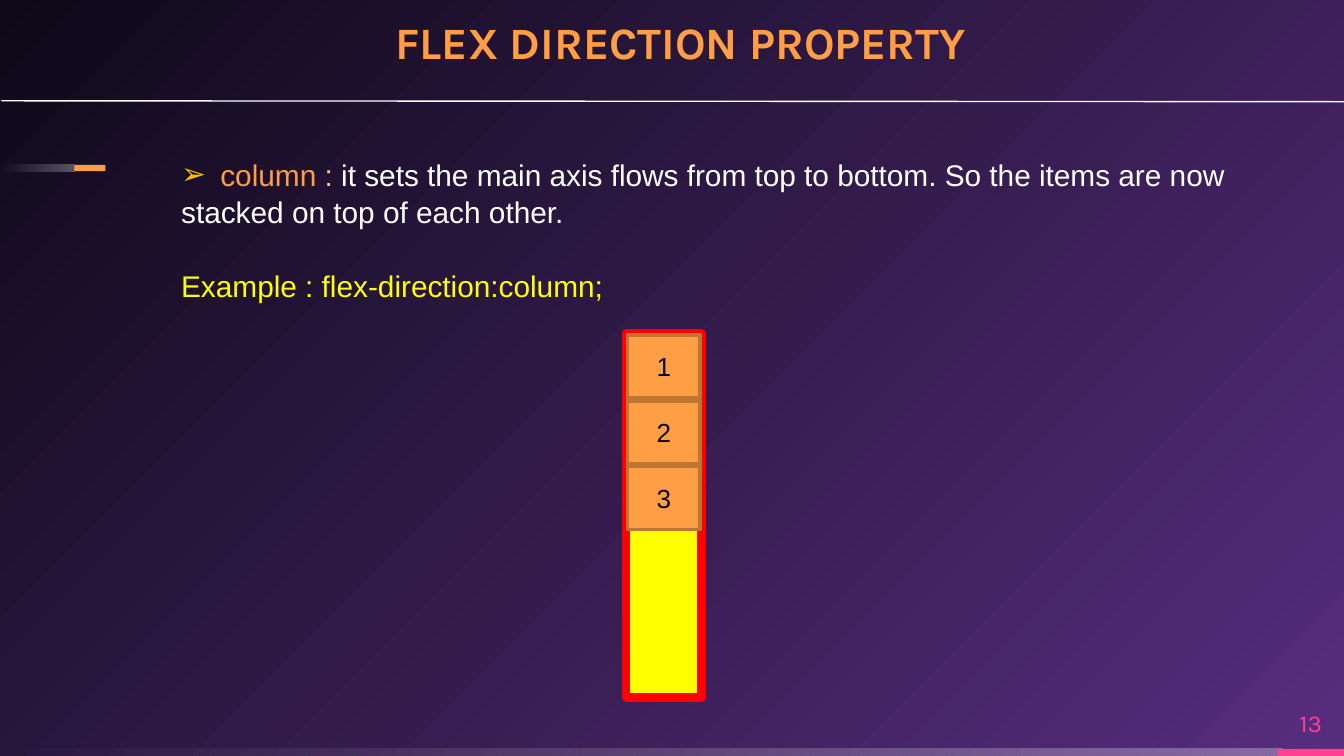
from dataclasses import dataclass

from lxml.etree import SubElement
from pptx import Presentation
from pptx.dml.color import RGBColor
from pptx.enum.shapes import MSO_CONNECTOR, MSO_SHAPE as Preset
from pptx.enum.text import MSO_ANCHOR as Anchor, MSO_AUTO_SIZE as AutoSize, PP_ALIGN as Align
from pptx.oxml import parse_xml
from pptx.oxml.ns import nsdecls, qn
from pptx.util import Pt

ORANGE, WHITE, YELLOW, PINK = "FF9E44", "FFFFFF", "FFFF00", "FF4093"
NIGHT, PURPLE, RED, BROWN = "0E0918", "572D7E", "FF0000", "BD7532"
FADE_LEFT = '<a:lin ang="10800000" scaled="0"/>'
FROM_CORNER = '<a:path path="circle"><a:fillToRect l="100000" t="100000"/></a:path>'


@dataclass
class Box:
    left: float
    top: float
    width: float
    height: float

    def lengths(self) -> tuple:
        return Pt(self.left), Pt(self.top), Pt(self.width), Pt(self.height)


@dataclass
class Stop:
    position: int
    color: str
    opacity: int = 100


def rgb(color: str) -> RGBColor:
    return RGBColor.from_string(color)


def set_gradient(owner, fill, stops: list[Stop], direction: str) -> None:
    fill.gradient()
    old = owner.find(".//" + qn("a:gradFill"))
    stop_xml = "".join(
        f'<a:gs pos="{stop.position * 1000}"><a:srgbClr val="{stop.color}">'
        f'<a:alpha val="{stop.opacity * 1000}"/></a:srgbClr></a:gs>'
        for stop in stops
    )
    old.getparent().replace(old, parse_xml(
        f'<a:gradFill {nsdecls("a")} rotWithShape="1"><a:gsLst>{stop_xml}</a:gsLst>'
        f"{direction}</a:gradFill>"))


def set_font(paragraph, name: str, size: float, color: str, bold: bool = False) -> None:
    font = paragraph.font
    font.name, font.size, font.bold = name, Pt(size), bold
    font.color.rgb = rgb(color)


def set_frame(frame, anchor: Anchor, inset: float = 0) -> None:
    frame.word_wrap, frame.auto_size = True, AutoSize.NONE
    frame.vertical_anchor = anchor
    frame.margin_left = frame.margin_top = Pt(inset)
    frame.margin_right = frame.margin_bottom = Pt(inset)


def add_box(slide, box: Box, fill: str, preset=Preset.RECTANGLE, line: str = "", weight: float = 0):
    shape = slide.shapes.add_shape(preset, *box.lengths())
    shape.shadow.inherit = False
    shape.fill.solid()
    shape.fill.fore_color.rgb = rgb(fill)
    if line:
        shape.line.color.rgb = rgb(line)
        shape.line.width = Pt(weight)
    else:
        shape.line.fill.background()
    return shape


def add_fading_bar(slide, box: Box) -> None:
    bar = add_box(slide, box, WHITE)
    set_gradient(bar.element, bar.fill, [Stop(0, WHITE, 30), Stop(100, WHITE, 0)], FADE_LEFT)


def add_bullet(paragraph, symbol: str, color: str, indent: float) -> None:
    properties = paragraph._p.get_or_add_pPr()
    properties.set("marL", str(Pt(indent)))
    properties.set("indent", str(-Pt(indent)))
    bullet_color = SubElement(properties, qn("a:buClr"))
    SubElement(bullet_color, qn("a:srgbClr"), val=color)
    SubElement(properties, qn("a:buFont"), typeface="Arial")
    SubElement(properties, qn("a:buChar"), char=symbol)


def add_flex_item(slide, box: Box, label: str) -> None:
    item = add_box(slide, box, ORANGE, Preset.FLOWCHART_PROCESS, BROWN, 2)
    set_frame(item.text_frame, Anchor.MIDDLE)
    paragraph = item.text_frame.paragraphs[0]
    paragraph.text = label
    paragraph.alignment = Align.CENTER
    set_font(paragraph, "Arial", 14, NIGHT)


def main() -> None:
    presentation = Presentation()
    presentation.slide_width, presentation.slide_height = Pt(720), Pt(405)
    slide = presentation.slides.add_slide(presentation.slide_layouts[5])
    set_gradient(slide.element, slide.background.fill,
                 [Stop(0, PURPLE), Stop(100, NIGHT)], FROM_CORNER)

    # Decorative bars at the bottom and on the left
    add_fading_bar(slide, Box(0, 401.2, 687, 3.8))
    add_box(slide, Box(684.5, 401.2, 35.5, 3.8), PINK)
    add_fading_bar(slide, Box(0, 88.3, 40, 3.4))
    add_box(slide, Box(39.8, 88.3, 16.7, 3.4), ORANGE)

    # Title and the rule under it
    title = slide.shapes.title
    title.left, title.top, title.width, title.height = Box(211.7, 5.8, 364.3, 31).lengths()
    set_frame(title.text_frame, Anchor.BOTTOM)
    heading = title.text_frame.paragraphs[0]
    heading.text = "FLEX DIRECTION PROPERTY"
    heading.alignment, heading.line_spacing = Align.LEFT, 0.9
    set_font(heading, "Karla", 24, ORANGE, bold=True)
    rule = slide.shapes.add_connector(MSO_CONNECTOR.STRAIGHT, Pt(0.7), Pt(54), Pt(720), Pt(54.5))
    rule.line.color.rgb, rule.line.width = rgb(WHITE), Pt(0.75)
    SubElement(rule.element.spPr, qn("a:effectLst"))

    # Explanation
    body = slide.shapes.add_textbox(*Box(90, 79.2, 583.2, 85).lengths()).text_frame
    set_frame(body, Anchor.TOP, 3.6)
    body.margin_left = body.margin_right = Pt(7.2)
    definition, continuation, example = body.paragraphs[0], body.add_paragraph(), body.add_paragraph()
    add_bullet(definition, "➢", "FFC000", 21)
    for text, color in (
        ("column ", ORANGE),
        (": ", "FFC58F"),
        ("it sets the main axis flows from top to bottom. So the items are now", WHITE),
    ):
        run = definition.add_run()
        run.text = text
        run.font.color.rgb = rgb(color)
    continuation.text = "stacked on top of each other."
    example.text = "Example : flex-direction:column;"
    example.space_before = Pt(19.3)
    for paragraph, color in ((definition, WHITE), (continuation, WHITE), (example, YELLOW)):
        paragraph.line_spacing = 1.05
        set_font(paragraph, "Arial", 16, color)

    # Slide number
    number = slide.shapes.add_textbox(*Box(684.5, 373.7, 35.5, 27.4).lengths()).text_frame
    set_frame(number, Anchor.MIDDLE)
    number.paragraphs[0].text = "13"
    number.paragraphs[0].alignment = Align.CENTER
    set_font(number.paragraphs[0], "Karla", 13, PINK)

    # Flex container with its stacked items
    add_box(slide, Box(335.5, 178.6, 40.3, 195), YELLOW, Preset.FLOWCHART_PROCESS, RED, 4.5)
    for index, label in enumerate("123"):
        add_flex_item(slide, Box(336.2, 179.5 + 35.2 * index, 38.9, 33.8), label)

    presentation.save("out.pptx")


if __name__ == "__main__":
    main()
